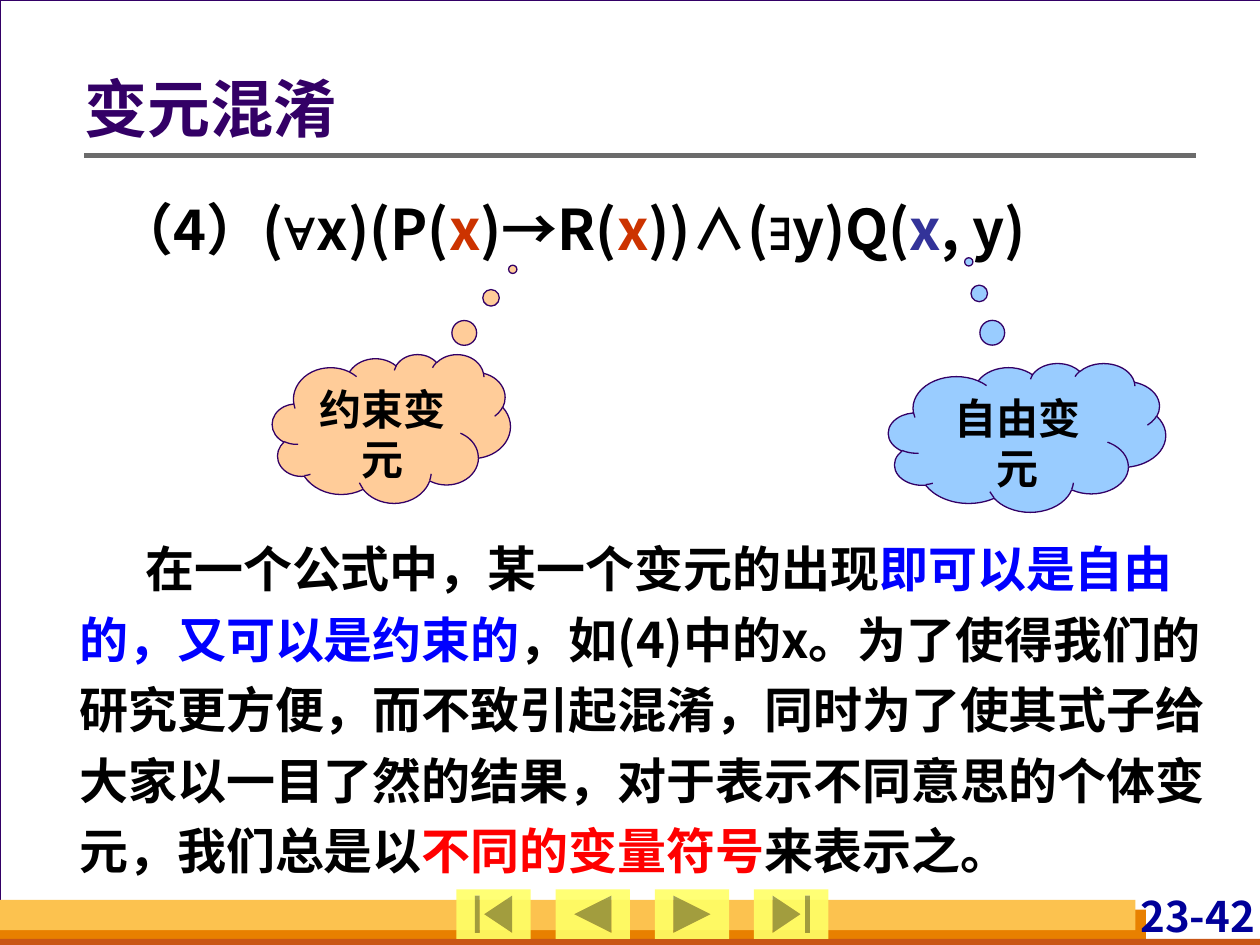
from lxml import etree
from pptx import Presentation
from pptx.dml.color import RGBColor
from pptx.enum.shapes import MSO_CONNECTOR, MSO_SHAPE
from pptx.enum.text import MSO_ANCHOR, PP_ALIGN
from pptx.oxml.ns import qn
from pptx.util import Cm, Pt

RECT = MSO_SHAPE.RECTANGLE
CLOUD = MSO_SHAPE.CLOUD_CALLOUT
STRAIGHT = MSO_CONNECTOR.STRAIGHT
NAV_BUTTONS = (
    MSO_SHAPE.ACTION_BUTTON_BEGINNING,
    MSO_SHAPE.ACTION_BUTTON_BACK_OR_PREVIOUS,
    MSO_SHAPE.ACTION_BUTTON_FORWARD_OR_NEXT,
    MSO_SHAPE.ACTION_BUTTON_END,
)
TOP, MIDDLE = MSO_ANCHOR.TOP, MSO_ANCHOR.MIDDLE
LEFT, CENTER, RIGHT = PP_ALIGN.LEFT, PP_ALIGN.CENTER, PP_ALIGN.RIGHT

CJK, LATIN = "Noto Sans CJK SC", "Arial"
COLORS = {
    "backdrop": "D8DADA", "paper": "FFFFFF", "purple": "330066",
    "orange": "E88000", "rust": "C95616", "amber": "FCC24F",
    "button": "FFFF66", "rule": "6B6B6B", "page": "000099",
    "text": "000000", "bound": "CC3300", "free": "333399",
    "blue": "0000FF", "red": "FF0000", "peach": "FFCC99", "sky": "99CCFF",
}


def rgb(name):
    """Return the named colour."""
    return RGBColor.from_string(COLORS[name])


def place(box):
    """Turn a box in centimetres into lengths."""
    return [Cm(value) for value in box]


def add_filled(slide, kind, box, fill, line=None):
    """Add a flat preset shape."""
    shape = slide.shapes.add_shape(kind, *place(box))
    shape.shadow.inherit = False
    shape.fill.solid()
    shape.fill.fore_color.rgb = rgb(fill)
    if line:
        shape.line.color.rgb = rgb(line)
        shape.line.width = Pt(0.75)
    else:
        shape.line.fill.background()
    return shape


def write(frame, runs, size, insets, align=LEFT, anchor=TOP, spacing=1.0, indent=0):
    """Fill a frame with one paragraph of (text, colour, font) runs."""
    left, top, right, bottom = place(insets)
    layout = {
        "word_wrap": True, "vertical_anchor": anchor,
        "margin_left": left, "margin_top": top,
        "margin_right": right, "margin_bottom": bottom,
    }
    for name, value in layout.items():
        setattr(frame, name, value)
    paragraph = frame.paragraphs[0]
    paragraph.alignment = align
    paragraph.line_spacing = spacing
    if indent:
        paragraph._p.get_or_add_pPr().set("indent", str(Cm(indent)))
    for text, color, typeface in runs:
        run = paragraph.add_run()
        run.text = text
        for name, value in {"size": Pt(size), "bold": True, "name": typeface}.items():
            setattr(run.font, name, value)
        run.font.color.rgb = rgb(color)
        etree.SubElement(run._r.get_or_add_rPr(), qn("a:ea"), typeface=CJK)


def add_text(slide, box, runs, size, insets, **layout):
    """Add a text box holding one paragraph."""
    frame = slide.shapes.add_textbox(*place(box)).text_frame
    write(frame, runs, size, insets, **layout)


def add_footer(slide, box):
    """Draw the coloured bands and the page number."""
    left, top, width, height = box
    add_filled(slide, RECT, (left, top + 0.2, 23.1, 0.71), "orange")
    add_filled(slide, RECT, (left, top + 0.79, width, 0.2), "rust")
    add_filled(slide, RECT, (left, top, 22.89, 0.61), "amber")
    add_text(slide, (left + 21.9, top - 0.18, 3.4, height + 0.1),
             [("23-42", "page", CJK)], 24, (0, 0, 0, 0), align=RIGHT)


def add_navigation(slide, box):
    """Spread the navigation buttons evenly over the box."""
    left, top, width, height = box
    button_width = 1.5
    step = (width - button_width) / (len(NAV_BUTTONS) - 1)
    for index, kind in enumerate(NAV_BUTTONS):
        button = add_filled(slide, kind, (left + index * step, top, button_width, height), "button")
        tint = button._element.spPr.find(qn("a:solidFill"))[0]
        etree.SubElement(tint, qn("a:alpha"), val="90000")


def add_title(slide, box):
    """Write the title above its rule."""
    left, top, width, height = box
    rule_y = top + 2.16
    rule = slide.shapes.add_connector(STRAIGHT, *place((left, rule_y, left + width, rule_y)))
    rule.line.color.rgb = rgb("rule")
    rule.line.width = Pt(3)
    etree.SubElement(rule._element.spPr, qn("a:effectLst"))
    add_text(slide, box, [("变元混淆", "purple", CJK)], 36,
             (0, 0.13, 0.25, 0.13), anchor=MIDDLE, spacing=0.9)


def add_formula(slide, box):
    """Write the formula with its bound and free variables coloured."""
    runs = [
        ("（4）(", "text", CJK), ("∀", "text", LATIN), ("x)(P(", "text", CJK),
        ("x", "bound", CJK), (")→R(", "text", CJK), ("x", "bound", CJK),
        ("))∧(", "text", CJK), ("∃", "text", LATIN), ("y)Q(", "text", CJK),
        ("x", "free", CJK), (", y)", "text", CJK),
    ]
    add_text(slide, box, runs, 32, (0.25, 0.13, 0.25, 0.13), spacing=1.2)


def add_callout(slide, box, label, fill, pointer):
    """Add a thought cloud pointing at a variable."""
    cloud = add_filled(slide, CLOUD, box, fill, "purple")
    for index, value in enumerate(pointer):
        cloud.adjustments[index] = value
    write(cloud.text_frame, [(label, "text", LATIN)], 24,
          (0.25, 0.13, 0.25, 0.13), align=CENTER)


def add_explanation(slide, box):
    """Write the explanatory paragraph."""
    runs = [
        ("在一个公式中，某一个变元的出现", "text", CJK),
        ("即可以是自由的，又可以是约束的", "blue", CJK),
        ("，如(4)中的x。为了使得我们的研究更方便，而不致引起混淆，"
         "同时为了使其式子给大家以一目了然的结果，"
         "对于表示不同意思的个体变元，我们总是以", "text", CJK),
        ("不同的变量符号", "red", CJK), ("来表示之。", "text", CJK),
    ]
    add_text(slide, box, runs, 28, (0.1, 0.1, 0.1, 0.1), spacing=1.2, indent=1.33)


def main():
    """Build and save the slide."""
    deck = Presentation()
    deck.slide_width, deck.slide_height = Cm(25.4), Cm(19.05)
    slide = deck.slides.add_slide(deck.slide_layouts[6])
    slide.background.fill.solid()
    slide.background.fill.fore_color.rgb = rgb("backdrop")
    add_filled(slide, RECT, (0, 0, 25.43, 19.05), "paper", "purple")
    add_footer(slide, (0, 18.14, 25.4, 0.91))
    add_navigation(slide, (9.2, 17.93, 7.5, 1))
    add_title(slide, (1.7, 0.97, 22.4, 2.57))
    add_formula(slide, (2.11, 3.53, 22.4, 3.51))
    add_callout(slide, (5.49, 7.14, 4.8, 3), "约束变元", "peach", (0.51, -1.07))
    add_callout(slide, (17.91, 7.32, 5.59, 3), "自由变元", "sky", (-0.21, -1.18))
    add_explanation(slide, (1.5, 10.52, 23.06, 7.32))
    deck.save("out.pptx")


if __name__ == "__main__":
    main()
